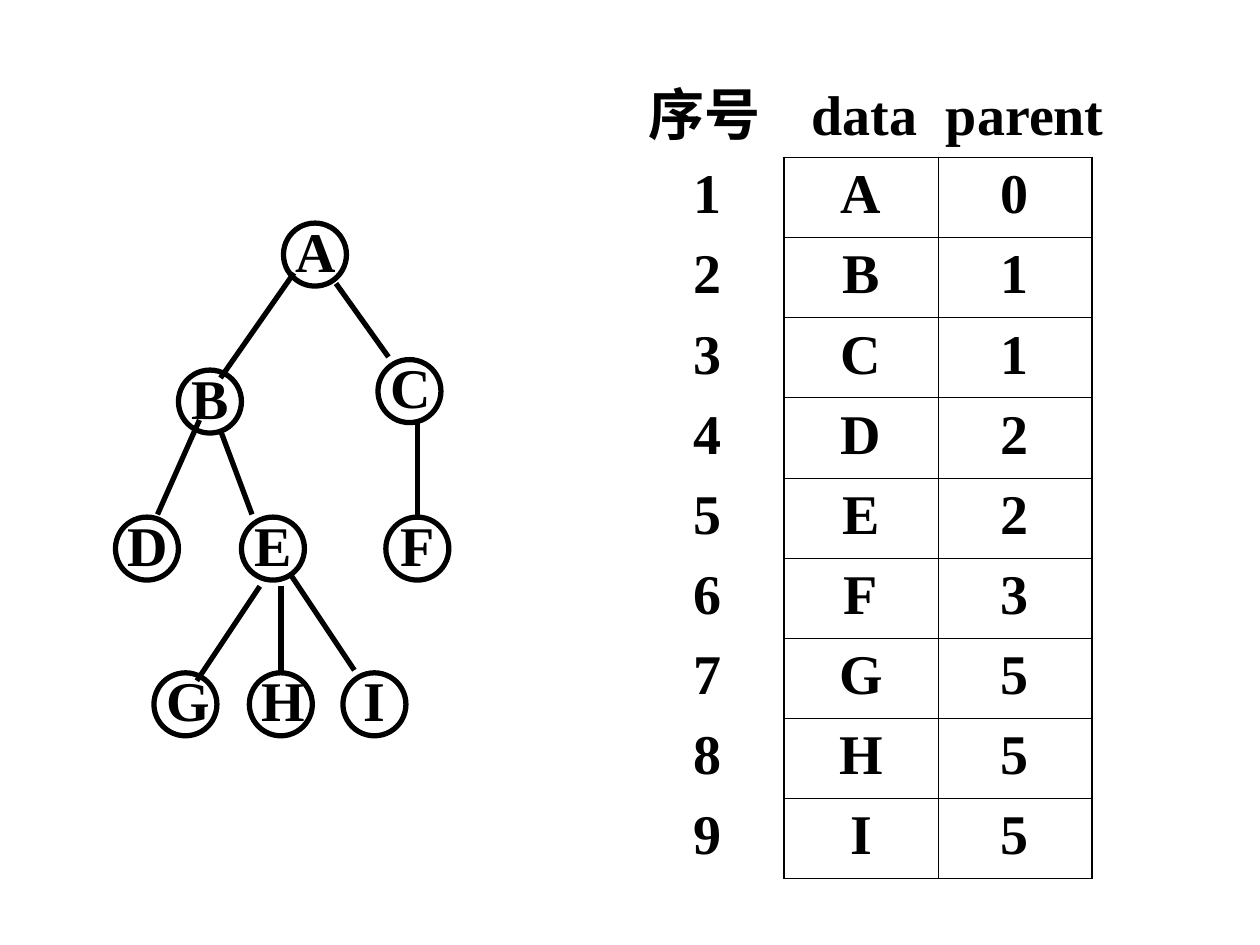
from lxml.etree import SubElement
from pptx import Presentation
from pptx.dml.color import RGBColor
from pptx.enum.shapes import MSO_CONNECTOR, MSO_SHAPE
from pptx.enum.text import PP_ALIGN
from pptx.oxml.ns import qn
from pptx.util import Pt

BLACK = RGBColor(0, 0, 0)
NO_STYLE = "{2D5ABB26-0587-4C30-8999-92F81FD0307C}"

deck = Presentation()
deck.slide_width, deck.slide_height = Pt(720), Pt(540)
slide = deck.slides.add_slide(deck.slide_layouts[6])
shapes = slide.shapes


def write(frame, text, align=PP_ALIGN.CENTER):
    para = frame.paragraphs[0]
    para.alignment = align
    run = para.add_run()
    run.text = text
    font = run.font
    font.name, font.size, font.bold = "Times New Roman", Pt(32), True
    font.color.rgb = BLACK


def border(cell, side, width):
    line = SubElement(cell._tc.get_or_add_tcPr(), qn(f"a:ln{side}"), w=str(Pt(width)))
    fill = SubElement(line, qn("a:solidFill"))
    SubElement(fill, qn("a:srgbClr"), val=str(BLACK))


# Tree nodes: left and top of each circle
nodes = {
    "A": (162, 127.5),
    "B": (102, 211.5), "C": (216, 205.5),
    "D": (66, 295.5), "E": (138, 295.5), "F": (220.5, 295.5),
    "G": (88, 384.5), "H": (142.5, 384.5), "I": (196, 384.5),
}
rings = {}
for name, (x, y) in nodes.items():
    label = shapes.add_textbox(Pt(x), Pt(y - 7.5), Pt(36), Pt(46))
    label.text_frame.word_wrap = True
    write(label.text_frame, name)
    ring = shapes.add_shape(MSO_SHAPE.OVAL, Pt(x), Pt(y), Pt(36), Pt(36))
    ring.shadow.inherit = False
    ring.fill.background()
    ring.line.color.rgb = BLACK
    ring.line.width = Pt(3)
    rings[name] = ring

# Tree edges: ends, and the node whose top the edge meets
edges = [
    (168, 156, 126, 216, None),
    (114, 240, 90, 294, None),
    (126, 246, 144, 294, None),
    (148.5, 335, 112.5, 389, None),
    (160.5, 335, 160.5, 384.5, "H"),
    (166.5, 329, 202.5, 383, None),
    (192, 162, 222, 204, None),
    (238.5, 240, 238.5, 295.5, "F"),
]
for *ends, child in edges:
    edge = shapes.add_connector(MSO_CONNECTOR.STRAIGHT, *map(Pt, ends))
    edge.line.color.rgb = BLACK
    edge.line.width = Pt(3)
    SubElement(edge._element.spPr, qn("a:effectLst"))
    if child:
        edge.end_connect(rings[child], 0)

# Parent table
parents = [0, 1, 1, 2, 2, 3, 5, 5, 5]
last = len(parents) - 1
frame = shapes.add_table(len(parents), 3, Pt(360), Pt(90), Pt(264), Pt(412.2))
table = frame.table
table.first_row = table.horz_banding = False
table._tbl.tblPr.find(qn("a:tableStyleId")).text = NO_STYLE
for col in table.columns:
    col.width = Pt(88)
for i, (name, parent) in enumerate(zip(nodes, parents)):
    table.rows[i].height = Pt(45.8)
    for j, text in enumerate((i + 1, name, parent)):
        cell = table.cell(i, j)
        write(cell.text_frame, str(text))
        if j == 0:
            border(cell, "R", 1.08)
        else:
            border(cell, "L", 1.08 if j == 1 else 0.45)
            border(cell, "R", 1.08 if j == 2 else 0.45)
            border(cell, "T", 1.08 if i == 0 else 0.45)
            border(cell, "B", 1.08 if i == last else 0.45)
        cell.fill.background()

# Column heads, spaced by tab stops
head = shapes.add_textbox(Pt(363.5), Pt(42), Pt(275), Pt(46))
head.text_frame.word_wrap = False
props = head.text_frame.paragraphs[0]._p.get_or_add_pPr()
stops = SubElement(props, qn("a:tabLst"))
for stop in (93, 170):
    SubElement(stops, qn("a:tab"), pos=str(Pt(stop)), algn="l")
write(head.text_frame, "序号\tdata\tparent", PP_ALIGN.LEFT)

deck.save("out.pptx")
